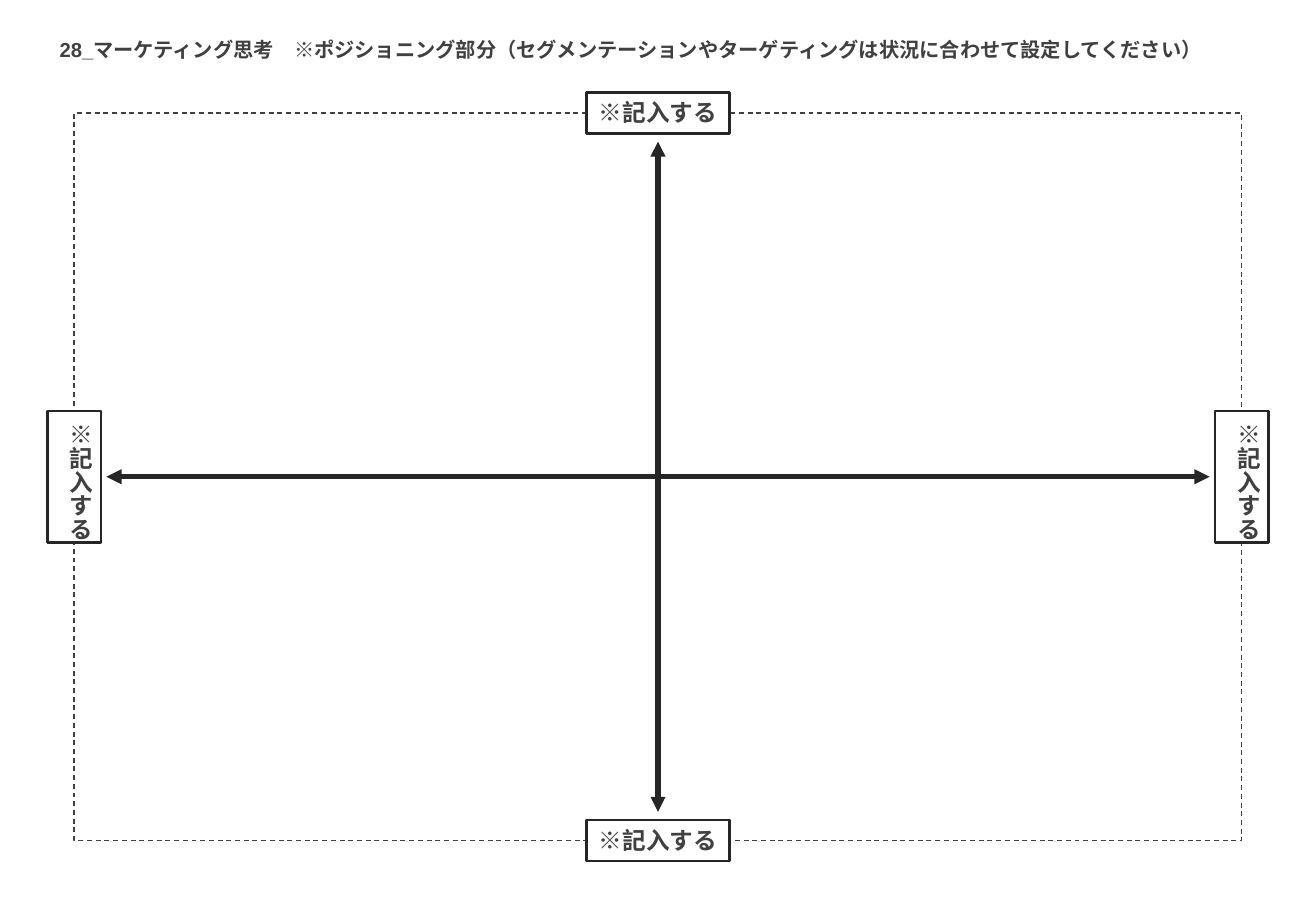
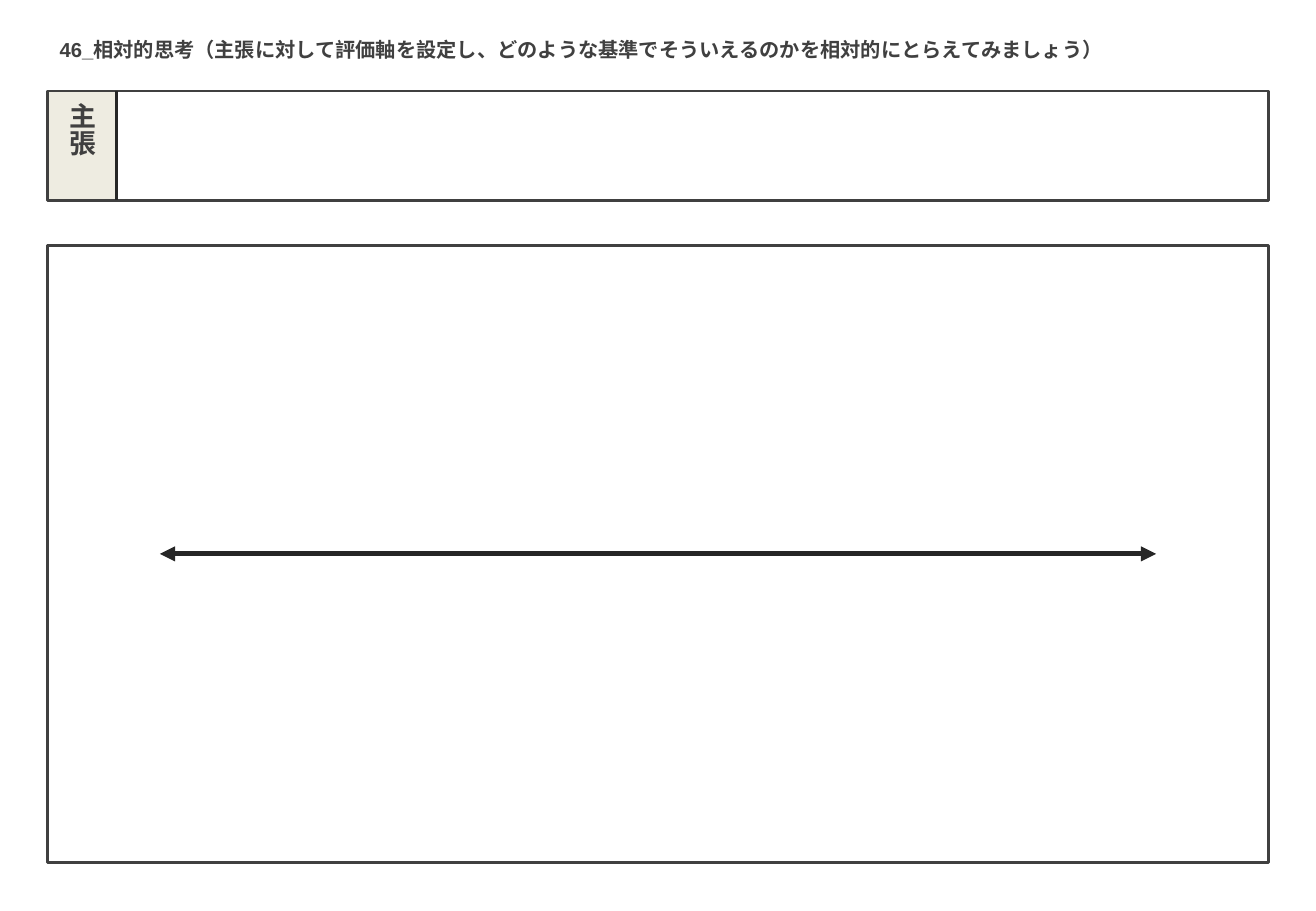
from dataclasses import dataclass

from lxml import etree
from pptx import Presentation
from pptx.dml.color import RGBColor
from pptx.enum.dml import MSO_LINE
from pptx.enum.shapes import MSO_CONNECTOR, MSO_SHAPE
from pptx.enum.text import MSO_ANCHOR, MSO_AUTO_SIZE, PP_ALIGN
from pptx.oxml.ns import qn
from pptx.util import Inches, Pt

DASH = MSO_LINE.DASH
STRAIGHT = MSO_CONNECTOR.STRAIGHT
RECTANGLE = MSO_SHAPE.RECTANGLE
TOP, MIDDLE = MSO_ANCHOR.TOP, MSO_ANCHOR.MIDDLE
GROW = MSO_AUTO_SIZE.SHAPE_TO_FIT_TEXT
LEFT, CENTER = PP_ALIGN.LEFT, PP_ALIGN.CENTER
TITLE_ONLY = 5

WIDTH, HEIGHT = 10.83, 7.5
MARGIN = 0.39
CONTENT_WIDTH = WIDTH - 2 * MARGIN
CENTER_X = WIDTH / 2


@dataclass(frozen=True)
class Theme:
    font: str = "Arial"
    text: RGBColor = RGBColor(0x40, 0x40, 0x40)
    ink: RGBColor = RGBColor(0x26, 0x26, 0x26)
    paper: RGBColor = RGBColor(0xFF, 0xFF, 0xFF)
    tint: RGBColor = RGBColor(0xEE, 0xEC, 0xE1)
    title_size: int = 12
    label_size: int = 14
    heading_size: int = 16
    hairline: float = 0.75
    border: float = 1.5
    axis: float = 3


THEME = Theme()


def write(box, text, size, align=CENTER, anchor=TOP, wrap=False, vertical=False):
    frame = box.text_frame
    frame.text = text
    frame.word_wrap = wrap
    frame.auto_size = GROW
    frame.vertical_anchor = anchor
    if vertical:
        frame._txBody.bodyPr.set("vert", "eaVert")
    paragraph = frame.paragraphs[0]
    paragraph.alignment = align
    font = paragraph.font
    font.name, font.size, font.bold = THEME.font, Pt(size), True
    font.color.rgb = THEME.text


def add_titled_slide(deck, text):
    slide = deck.slides.add_slide(deck.slide_layouts[TITLE_ONLY])
    title = slide.shapes.title
    title.left, title.top = Inches(MARGIN), Inches(0.26)
    title.width, title.height = Inches(CONTENT_WIDTH), Inches(0.3)
    write(title, text, THEME.title_size, align=LEFT, wrap=True)
    return slide


def add_box(slide, left, top, width, height, fill=None, line=None,
            weight=THEME.border, dash=None):
    box = slide.shapes.add_shape(
        RECTANGLE, Inches(left), Inches(top), Inches(width), Inches(height))
    box.shadow.inherit = False
    if fill is None:
        box.fill.background()
    else:
        box.fill.solid()
        box.fill.fore_color.rgb = fill
    if line is None:
        box.line.fill.background()
    else:
        box.line.color.rgb = line
        box.line.width = Pt(weight)
        if dash is not None:
            box.line.dash_style = dash
    return box


def add_label(slide, center_x, center_y, vertical=False):
    width, height = (0.44, 1.08) if vertical else (1.18, 0.34)
    box = add_box(slide, center_x - width / 2, center_y - height / 2,
                  width, height, THEME.paper, THEME.ink)
    write(box, "※記入する", THEME.label_size, vertical=vertical)


def add_line(slide, start, end, weight, arrows=False):
    line = slide.shapes.add_connector(
        STRAIGHT, *(Inches(length) for length in (*start, *end)))
    line.line.color.rgb = THEME.ink
    line.line.width = Pt(weight)
    if arrows:
        outline = line.line._get_or_add_ln()
        for tag in ("a:headEnd", "a:tailEnd"):
            etree.SubElement(outline, qn(tag)).set("type", "triangle")
    etree.SubElement(line._element.spPr, qn("a:effectLst"))


def add_axis(slide, center_x, center_y, reach_x=0, reach_y=0):
    add_line(slide, (center_x - reach_x, center_y - reach_y),
             (center_x + reach_x, center_y + reach_y), THEME.axis, arrows=True)


def build_positioning_map(deck):
    slide = add_titled_slide(
        deck, "28_マーケティング思考　※ポジショニング部分"
              "（セグメンテーションやターゲティングは状況に合わせて設定してください）")
    top, width, height = 0.93, 9.61, 5.99
    center_y = top + height / 2
    add_box(slide, CENTER_X - width / 2, top, width, height,
            line=THEME.text, weight=THEME.hairline, dash=DASH)
    add_axis(slide, CENTER_X, center_y, reach_x=4.54)
    add_axis(slide, CENTER_X, center_y, reach_y=2.76)
    for side in (-1, 1):
        add_label(slide, CENTER_X, center_y + side * height / 2)
        add_label(slide, CENTER_X + side * width / 2, center_y, vertical=True)


def build_relative_scale(deck):
    slide = add_titled_slide(
        deck, "46_相対的思考（主張に対して評価軸を設定し、"
              "どのような基準でそういえるのかを相対的にとらえてみましょう）")
    claim_top, claim_height, heading_width, inset = 0.75, 0.9, 0.57, 0.05
    scale_top, scale_height = 2.02, 5.08
    divider = MARGIN + heading_width

    add_box(slide, MARGIN, scale_top, CONTENT_WIDTH, scale_height, line=THEME.text)
    add_box(slide, MARGIN, claim_top, heading_width, claim_height, fill=THEME.tint)
    add_box(slide, MARGIN, claim_top, CONTENT_WIDTH, claim_height, line=THEME.text)
    add_line(slide, (divider, claim_top), (divider, claim_top + claim_height),
             THEME.border)
    heading = slide.shapes.add_textbox(
        Inches(MARGIN + inset), Inches(claim_top),
        Inches(heading_width - 2 * inset), Inches(claim_height))
    write(heading, "主張", THEME.heading_size, anchor=MIDDLE, wrap=True, vertical=True)
    add_axis(slide, CENTER_X, scale_top + scale_height / 2, reach_x=4.1)


def main():
    deck = Presentation()
    deck.slide_width, deck.slide_height = Inches(WIDTH), Inches(HEIGHT)
    build_positioning_map(deck)
    build_relative_scale(deck)
    deck.save("out.pptx")


if __name__ == "__main__":
    main()
